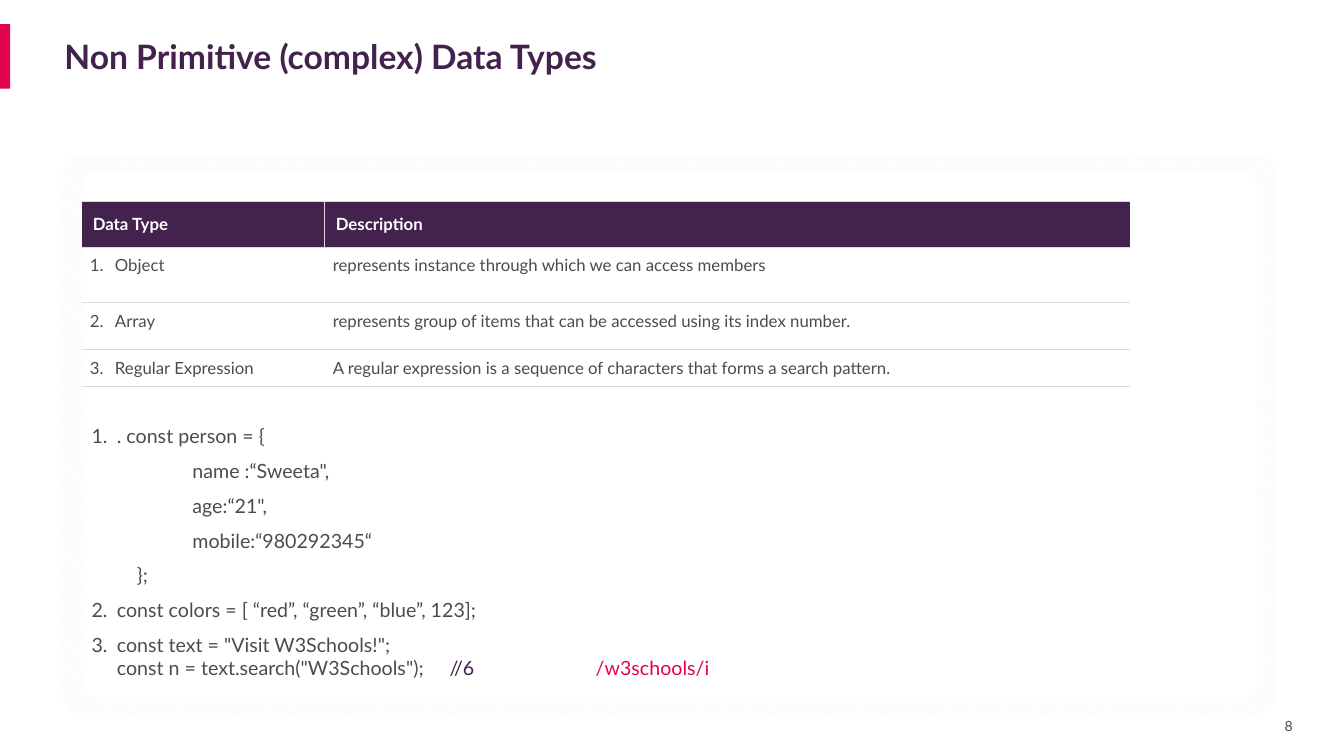
import dataclasses

import lxml.etree
import pptx
import pptx.dml.color
import pptx.enum.dml
import pptx.enum.shapes
import pptx.enum.text
import pptx.oxml.ns
import pptx.util

qn = pptx.oxml.ns.qn
ALIGN = pptx.enum.text.PP_ALIGN
ANCHOR = pptx.enum.text.MSO_ANCHOR
SHAPE = pptx.enum.shapes.MSO_SHAPE


@dataclasses.dataclass(frozen=True)
class Theme:
    font: str = "Lato"
    purple: str = "43224D"
    pink: str = "E0044E"
    text: str = "4C4C4D"
    white: str = "FFFFFF"
    hatch: str = "F2F2F2"
    rule: str = "D9D9D9"
    title: int = 24
    code: int = 14
    table: int = 12
    small: int = 10


def rgb(color):
    return pptx.dml.color.RGBColor.from_string(color)


class Deck:
    def __init__(self, theme):
        self.theme = theme
        self.prs = pptx.Presentation()
        self.prs.slide_width = pptx.util.Inches(13.33)
        self.prs.slide_height = pptx.util.Inches(7.5)
        self.s = self.prs.slides.add_slide(self.prs.slide_layouts[6])

    def x(self, percent):
        return round(self.prs.slide_width * percent / 100)

    def y(self, percent):
        return round(self.prs.slide_height * percent / 100)

    def box(self, left, top, width, height):
        return self.x(left), self.y(top), self.x(width), self.y(height)

    def shape(self, kind, area, fill, hatch=None, radius=None):
        sp = self.s.shapes.add_shape(kind, *self.box(*area))
        sp.shadow.inherit = False
        sp.line.fill.background()
        if radius is not None:
            sp.adjustments[0] = radius
        if hatch:
            sp.fill.patterned()
            sp.fill.pattern = pptx.enum.dml.MSO_PATTERN.LIGHT_DOWNWARD_DIAGONAL
            sp.fill.fore_color.rgb = rgb(hatch)
            sp.fill.back_color.rgb = rgb(fill)
        else:
            sp.fill.solid()
            sp.fill.fore_color.rgb = rgb(fill)

    def run(self, p, text, size, color, bold=False):
        r = p.add_run()
        r.text = text
        r.font.name = self.theme.font
        r.font.size = pptx.util.Pt(size)
        r.font.bold = bold
        r.font.color.rgb = rgb(color)

    def layout(self, p, indent=0, number=None, tabs=()):
        pPr = p._p.get_or_add_pPr()
        pPr.set("marL", str(pptx.util.Inches(indent)))
        pPr.set("indent", str(-pptx.util.Inches(indent) if number else 0))
        if number:
            color = lxml.etree.SubElement(pPr, qn("a:buClr"))
            lxml.etree.SubElement(color, qn("a:srgbClr"), val=self.theme.text)
            bullet = lxml.etree.SubElement(pPr, qn("a:buAutoNum"), type="arabicPeriod")
            if number > 1:
                bullet.set("startAt", str(number))
        if tabs:
            stops = lxml.etree.SubElement(pPr, qn("a:tabLst"))
            for stop in tabs:
                lxml.etree.SubElement(stops, qn("a:tab"), pos=str(pptx.util.Inches(stop)), algn="l")

    def text_frame(self, area):
        tf = self.s.shapes.add_textbox(*self.box(*area)).text_frame
        tf.word_wrap = True
        return tf

    def label(self, area, text, size, color, bold=False, align=ALIGN.LEFT, inset=0):
        tf = self.text_frame(area)
        tf.vertical_anchor = ANCHOR.MIDDLE
        tf.margin_left = tf.margin_right = pptx.util.Inches(inset)
        p = tf.paragraphs[0]
        p.alignment = align
        self.run(p, text, size, color, bold)

    def code(self, area, paragraphs):
        tf = self.text_frame(area)
        tf.auto_size = pptx.enum.text.MSO_AUTO_SIZE.SHAPE_TO_FIT_TEXT
        for i, (indent, number, tabs, lines) in enumerate(paragraphs):
            p = tf.add_paragraph() if i else tf.paragraphs[0]
            if i:
                p.space_before = pptx.util.Pt(8)
            self.layout(p, indent, number, tabs)
            for j, line in enumerate(lines):
                if j:
                    p.add_line_break()
                for text, color in line:
                    self.run(p, text, self.theme.code, color)

    def borders(self, cell, widths):
        tcPr = cell._tc.get_or_add_tcPr()
        for i, (side, width) in enumerate(zip("LRTB", widths)):
            ln = lxml.etree.Element(qn(f"a:ln{side}"), w=str(pptx.util.Pt(width)))
            if width:
                fill = lxml.etree.SubElement(ln, qn("a:solidFill"))
                lxml.etree.SubElement(fill, qn("a:srgbClr"), val=self.theme.rule)
            else:
                lxml.etree.SubElement(ln, qn("a:noFill"))
            tcPr.insert(i, ln)

    def table(self, left, top, cols, rows, data):
        t = self.theme
        area = self.box(left, top, sum(cols), sum(rows))
        tbl = self.s.shapes.add_table(len(rows), len(cols), *area).table
        tbl.first_row = tbl.horz_banding = False
        for column, width in zip(tbl.columns, cols):
            column.width = self.x(width)
        for row, height in zip(tbl.rows, rows):
            row.height = self.y(height)
        for i, values in enumerate(data):
            head = i == 0
            for j, value in enumerate(values):
                cell = tbl.cell(i, j)
                inset = pptx.util.Inches(0.11 if head else 0.08)
                cell.margin_left = cell.margin_right = inset
                cell.margin_top = cell.margin_bottom = inset
                cell.vertical_anchor = ANCHOR.MIDDLE if head else ANCHOR.TOP
                cell.fill.solid()
                cell.fill.fore_color.rgb = rgb(t.purple if head else t.white)
                divider = 0.5 if head else 0
                self.borders(cell, (divider * j, divider * (1 - j), 0.75, 0.75))
                p = cell.text_frame.paragraphs[0]
                if not head:
                    p.alignment = ALIGN.JUSTIFY
                    if j == 0:
                        self.layout(p, 0.25, i)
                self.run(p, value, t.table, t.white if head else t.text, head)


def main():
    t = Theme()
    deck = Deck(t)
    deck.shape(SHAPE.RECTANGLE, (0, 3.2, 0.75, 8.53), t.pink)
    deck.label((94.3, 94.4, 3.15, 3.33), "8", t.small, t.text, align=ALIGN.CENTER, inset=0.1)
    deck.label((4.8, 3.2, 90.1, 8.53), "Non Primitive (complex) Data Types", t.title, t.purple, bold=True)
    deck.shape(SHAPE.ROUNDED_RECTANGLE, (4.65, 20.53, 90.25, 73.87), t.white, t.hatch, 0.03)
    deck.shape(SHAPE.ROUNDED_RECTANGLE, (6.08, 22.67, 87.47, 69.6), t.white, radius=0.03)
    deck.code((6.08, 55.47, 87.47, 35.47), [
        (0.25, 1, (), [[(". const person = {", t.text)]]),
        (1, None, (), [[("name :“Sweeta\",", t.text)]]),
        (1, None, (), [[("age:“21\",", t.text)]]),
        (1, None, (), [[("mobile:“980292345“", t.text)]]),
        (0.45, None, (), [[("};", t.text)]]),
        (0.25, 2, (), [[("const colors = [ “red”, “green”, “blue”, 123];", t.text)]]),
        (0.25, 2, (3.55, 5), [
            [("const text = \"Visit W3Schools!\";", t.text)],
            [("const n = text.search(\"W3Schools\");\t", t.text), ("//6\t", t.purple), ("/w3schools/i", t.pink)],
        ]),
    ])
    deck.table(6.08, 26.67, (18.08, 59.94), (6, 7.33, 6.27, 4.8), [
        ("Data Type", "Description"),
        ("Object", "represents instance through which we can access members"),
        ("Array", "represents group of items that can be accessed using its index number."),
        ("Regular Expression", "A regular expression is a sequence of characters that forms a search pattern."),
    ])
    deck.prs.save("out.pptx")


if __name__ == "__main__":
    main()
